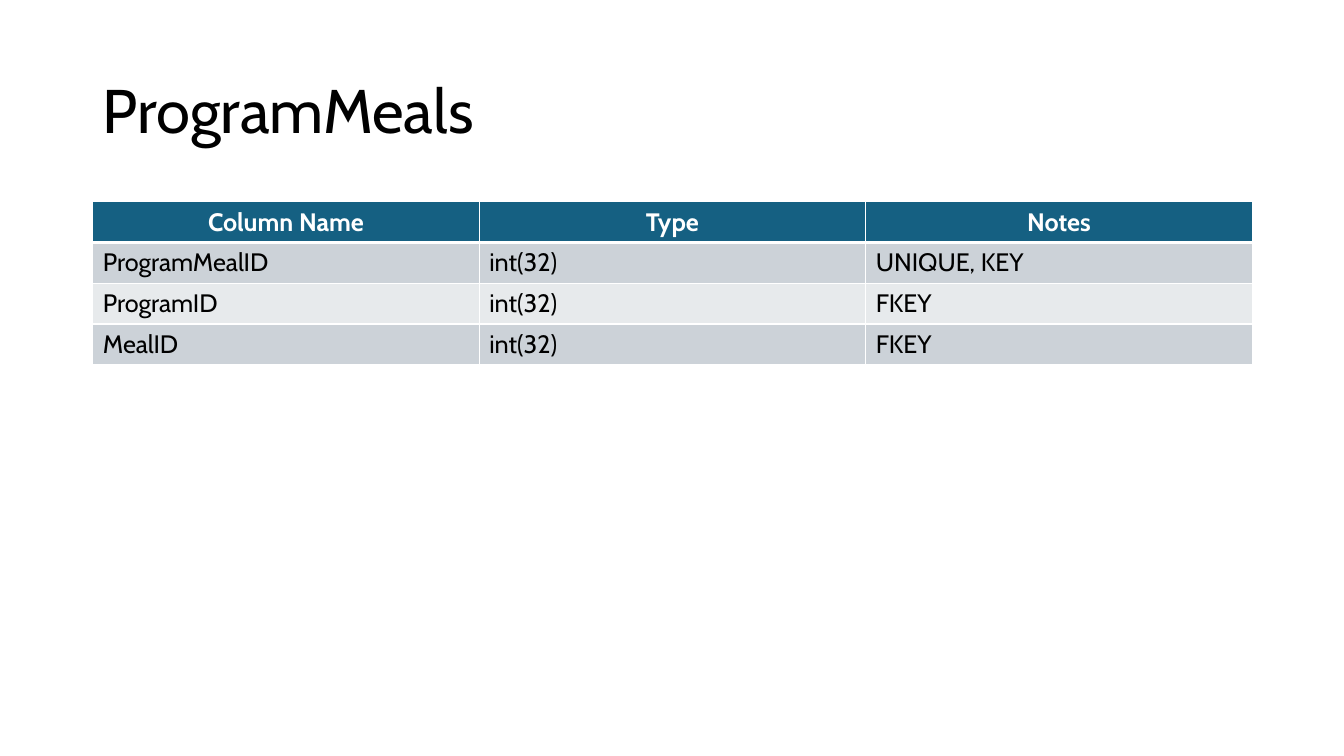
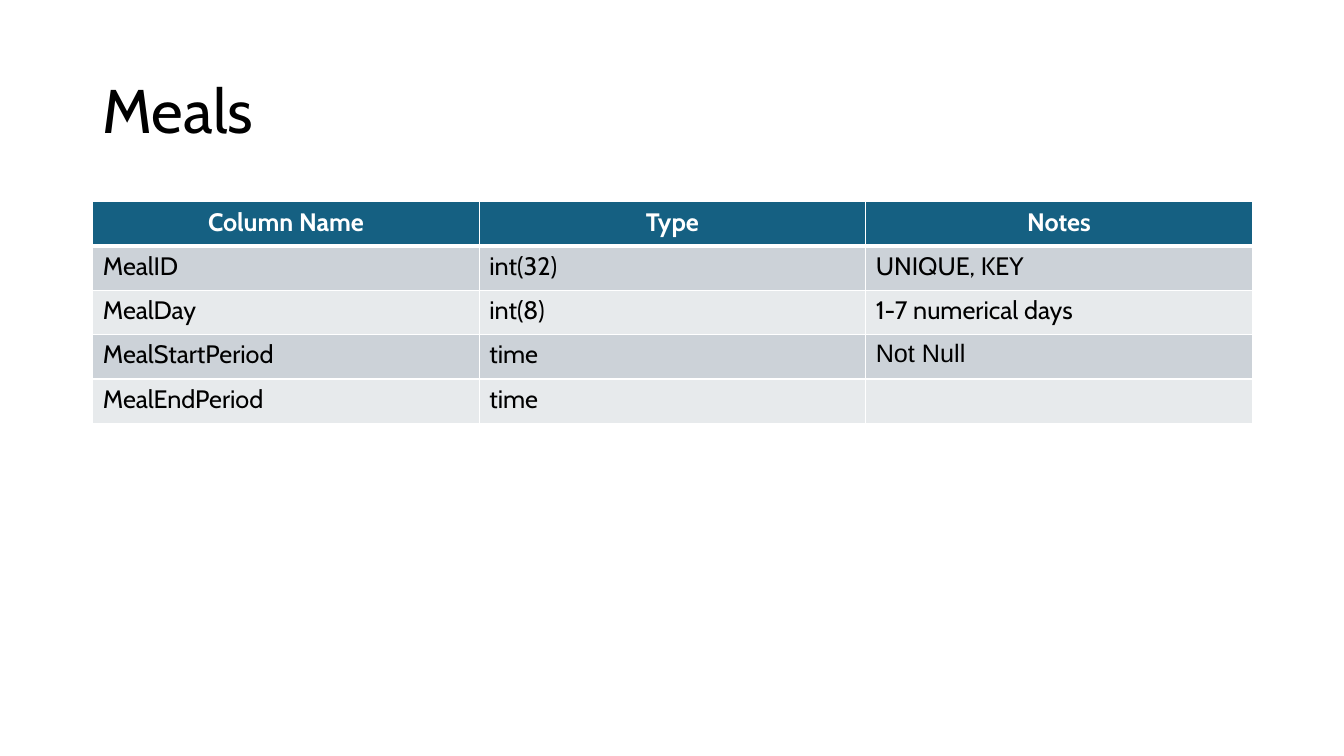
import pptx
import pptx.util
import pptx.dml.color
import pptx.enum.text
import pptx.oxml.ns
import lxml.etree

HEADERS = ("Column Name", "Type", "Notes")
TABLES = [
    {
        "title": "ProgramMeals",
        "height": 162,
        "rows": [
            ("ProgramMealID", "int(32)", "UNIQUE, KEY"),
            ("ProgramID", "int(32)", "FKEY"),
            ("MealID", "int(32)", "FKEY"),
        ],
    },
    {
        "title": "Meals",
        "height": 220,
        "rows": [
            ("MealID", "int(32)", "UNIQUE, KEY"),
            ("MealDay", "int(8)", "1-7 numerical days"),
            ("MealStartPeriod", "time", "Not Null"),
            ("MealEndPeriod", "time", ""),
        ],
    },
]

COLORS = {
    "text": "000000",
    "header": "156082",
    "header_text": "FFFFFF",
    "odd": "CCD2D8",
    "even": "E7EAEC",
    "border": "FFFFFF",
}
FONT = "Cabin"
FONT_EXCEPTIONS = {"Not Null": "Arial"}
TITLE_SIZE, CELL_SIZE = 44, 18
THIN, THICK = 0.96, 3
SLIDE_W, SLIDE_H = 1333, 750
LEFT, WIDTH = 92, 1150
TITLE_TOP, TITLE_H = 40, 145
TABLE_TOP = 200


def px(n):
    return pptx.util.Emu(n * 9144)


def rgb(name):
    return pptx.dml.color.RGBColor.from_string(COLORS[name])


def add_run(p, text, size, color, bold=False):
    r = p.add_run()
    r.text = text
    r.font.name = FONT_EXCEPTIONS.get(text, FONT)
    r.font.size = pptx.util.Pt(size)
    r.font.bold = bold
    r.font.color.rgb = rgb(color)


def add_title(s, text):
    sp = s.shapes.add_textbox(px(LEFT), px(TITLE_TOP), px(WIDTH), px(TITLE_H))
    tf = sp.text_frame
    tf.word_wrap = True
    tf.vertical_anchor = pptx.enum.text.MSO_ANCHOR.MIDDLE
    p = tf.paragraphs[0]
    p.line_spacing = 0.9
    add_run(p, text, TITLE_SIZE, "text")


def set_borders(cell, top, bottom):
    qn = pptx.oxml.ns.qn
    tc_pr = cell._tc.get_or_add_tcPr()
    for side, width in (("L", THIN), ("R", THIN), ("T", top), ("B", bottom)):
        ln = lxml.etree.SubElement(tc_pr, qn("a:ln" + side), w=str(pptx.util.Pt(width)))
        fill = lxml.etree.SubElement(ln, qn("a:solidFill"))
        lxml.etree.SubElement(fill, qn("a:srgbClr"), val=COLORS["border"])


def fill_cell(cell, text, row):
    is_header = row == 0
    set_borders(cell, THICK if row == 1 else THIN, THICK if is_header else THIN)
    cell.fill.solid()
    cell.fill.fore_color.rgb = rgb("header" if is_header else "odd" if row % 2 else "even")
    p = cell.text_frame.paragraphs[0]
    if is_header:
        p.alignment = pptx.enum.text.PP_ALIGN.CENTER
    if text:
        add_run(p, text, CELL_SIZE, "header_text" if is_header else "text", is_header)


def add_schema(s, rows, height):
    grid = [HEADERS, *rows]
    table = s.shapes.add_table(
        len(grid), len(HEADERS), px(LEFT), px(TABLE_TOP), px(WIDTH), px(height)
    ).table
    for i, texts in enumerate(grid):
        for j, text in enumerate(texts):
            fill_cell(table.cell(i, j), text, i)


def main():
    prs = pptx.Presentation()
    prs.slide_width, prs.slide_height = px(SLIDE_W), px(SLIDE_H)
    for item in TABLES:
        s = prs.slides.add_slide(prs.slide_layouts[6])
        add_title(s, item["title"])
        add_schema(s, item["rows"], item["height"])
    prs.save("out.pptx")


if __name__ == "__main__":
    main()
